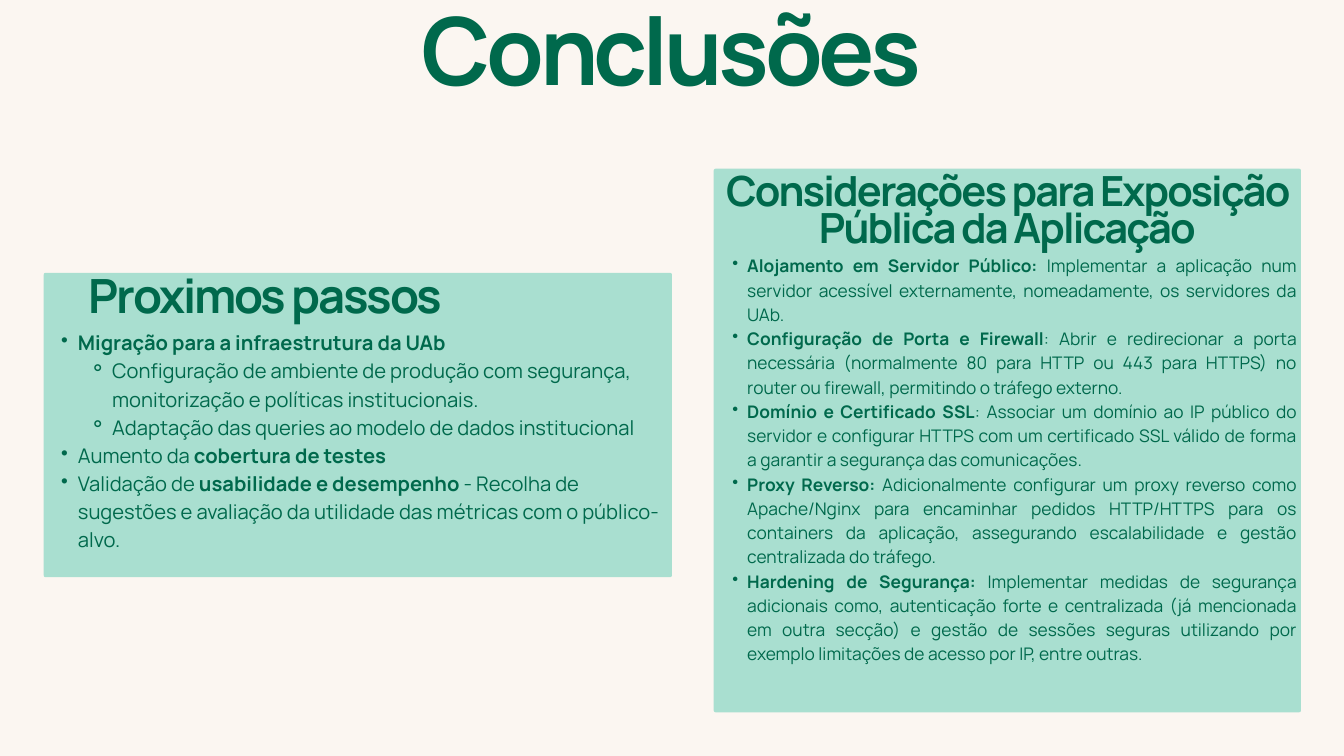
from dataclasses import dataclass

from lxml import etree
from pptx import Presentation
from pptx.dml.color import RGBColor
from pptx.enum.shapes import MSO_SHAPE
from pptx.enum.text import MSO_ANCHOR, PP_ALIGN
from pptx.oxml.ns import qn
from pptx.util import Inches, Pt

CENTER, LEFT, JUSTIFY = PP_ALIGN.CENTER, PP_ALIGN.LEFT, PP_ALIGN.JUSTIFY
TOP = MSO_ANCHOR.TOP
ROUNDED = MSO_SHAPE.ROUNDED_RECTANGLE

CREAM = RGBColor(0xFB, 0xF6, 0xF1)
MINT = RGBColor(0xA9, 0xDF, 0xD0)
GREEN = RGBColor(0x00, 0x69, 0x4C)
FONT = "Manrope"
CORNER = 0.03


@dataclass(frozen=True)
class Area:
    left: float
    top: float
    width: float
    height: float

    def lengths(self) -> list:
        return [Inches(n) for n in (self.left, self.top, self.width, self.height)]


@dataclass(frozen=True)
class Style:
    size: float
    line: float
    align: PP_ALIGN
    tracking: float = 0
    inset: float = 0


@dataclass(frozen=True)
class Bullet:
    char: str
    margin: float
    hanging: float
    level: int = 0


@dataclass(frozen=True)
class Span:
    text: str
    bold: bool = False


@dataclass(frozen=True)
class Item:
    spans: tuple[Span, ...]
    bullet: Bullet | None = None


TITLE = Style(100.4, 90.4, CENTER, -4.6)
STEPS_HEADING = Style(50.5, 45.5, CENTER, -2.3)
EXPOSURE_HEADING = Style(44.5, 40.1, CENTER, -2)
STEPS_BODY = Style(21.6, 30.2, LEFT)
EXPOSURE_BODY = Style(18.6, 26, JUSTIFY, inset=0.06)

STEP = Bullet("•", 0.51, 0.25)
SUBSTEP = Bullet("⚬", 1.02, 0.34, 1)
POINT = Bullet("•", 0.44, 0.22)

STEPS = [
    Item((Span("Migração para a infraestrutura da UAb", True),), STEP),
    Item((Span("Configuração de ambiente de produção com segurança, "
               "monitorização e políticas institucionais."),), SUBSTEP),
    Item((Span("Adaptação das queries ao modelo de dados institucional"),), SUBSTEP),
    Item((Span("Aumento da "), Span("cobertura de testes", True)), STEP),
    Item((Span("Validação de "), Span("usabilidade e desempenho", True),
          Span(" - Recolha de sugestões e avaliação da utilidade das métricas "
               "com o público-alvo.")), STEP),
]

CONSIDERATIONS = [
    ("Alojamento em Servidor Público:",
     " Implementar a aplicação num servidor acessível externamente, "
     "nomeadamente, os servidores da UAb."),
    ("Configuração de Porta e Firewall",
     ": Abrir e redirecionar a porta necessária (normalmente 80 para HTTP ou 443 "
     "para HTTPS) no router ou firewall, permitindo o tráfego externo."),
    ("Domínio e Certificado SSL",
     ": Associar um domínio ao IP público do servidor e configurar HTTPS com um "
     "certificado SSL válido de forma a garantir a segurança das comunicações."),
    ("Proxy Reverso:",
     " Adicionalmente configurar um proxy reverso como Apache/Nginx para encaminhar "
     "pedidos HTTP/HTTPS para os containers da aplicação, assegurando escalabilidade "
     "e gestão centralizada do tráfego."),
    ("Hardening de Segurança:",
     " Implementar medidas de segurança adicionais como, autenticação forte e "
     "centralizada (já mencionada em outra secção) e gestão de sessões seguras "
     "utilizando por exemplo limitações de acesso por IP, entre outras."),
]


def add_panel(page, area: Area) -> None:
    panel = page.shapes.add_shape(ROUNDED, *area.lengths())
    panel.adjustments[0] = CORNER / min(area.width, area.height)
    panel.shadow.inherit = False
    panel.fill.solid()
    panel.fill.fore_color.rgb = MINT
    panel.line.fill.background()


def set_bullet(paragraph, bullet: Bullet) -> None:
    paragraph.level = bullet.level
    properties = paragraph._p.get_or_add_pPr()
    properties.set("marL", str(Inches(bullet.margin)))
    properties.set("indent", str(-Inches(bullet.hanging)))
    etree.SubElement(properties, qn("a:buChar")).set("char", bullet.char)


def add_span(paragraph, span: Span, style: Style) -> None:
    run = paragraph.add_run()
    run.text = span.text
    values = {"name": FONT, "size": Pt(style.size), "bold": span.bold}
    for name, value in values.items():
        setattr(run.font, name, value)
    run.font.color.rgb = GREEN
    if style.tracking:
        run._r.get_or_add_rPr().set("spc", str(round(style.tracking * 100)))


def add_text(page, area: Area, items: list[Item], style: Style) -> None:
    frame = page.shapes.add_textbox(*area.lengths()).text_frame
    side = Inches(style.inset)
    values = {"word_wrap": True, "vertical_anchor": TOP, "margin_left": side,
              "margin_right": side, "margin_top": 0, "margin_bottom": 0}
    for name, value in values.items():
        setattr(frame, name, value)
    for index, item in enumerate(items):
        paragraph = frame.add_paragraph() if index else frame.paragraphs[0]
        paragraph.alignment = style.align
        paragraph.line_spacing = Pt(style.line)
        if item.bullet:
            set_bullet(paragraph, item.bullet)
        for span in item.spans:
            add_span(paragraph, span, style)


def add_heading(page, area: Area, text: str, style: Style) -> None:
    add_text(page, area, [Item((Span(text, True),))], style)


def main() -> None:
    deck = Presentation()
    deck.slide_width, deck.slide_height = Inches(20), Inches(11.25)
    page = deck.slides.add_slide(deck.slide_layouts[6])
    page.background.fill.solid()
    page.background.fill.fore_color.rgb = CREAM

    add_heading(page, Area(2.42, 0.3, 15.15, 1.37), "Conclusões", TITLE)

    add_panel(page, Area(10.62, 2.51, 8.74, 8.09))
    points = [Item((Span(topic, True), Span(detail)), POINT)
              for topic, detail in CONSIDERATIONS]
    add_text(page, Area(10.62, 3.75, 8.74, 6.14), points, EXPOSURE_BODY)
    add_heading(page, Area(10.62, 2.64, 8.74, 1.16),
                "Considerações para Exposição Pública da Aplicação", EXPOSURE_HEADING)

    add_panel(page, Area(0.65, 4.06, 9.35, 4.53))
    add_text(page, Area(0.65, 4.86, 9.35, 3.73), STEPS, STEPS_BODY)
    add_heading(page, Area(1.13, 4.17, 5.64, 0.73), "Proximos passos", STEPS_HEADING)

    deck.save("out.pptx")


if __name__ == "__main__":
    main()
